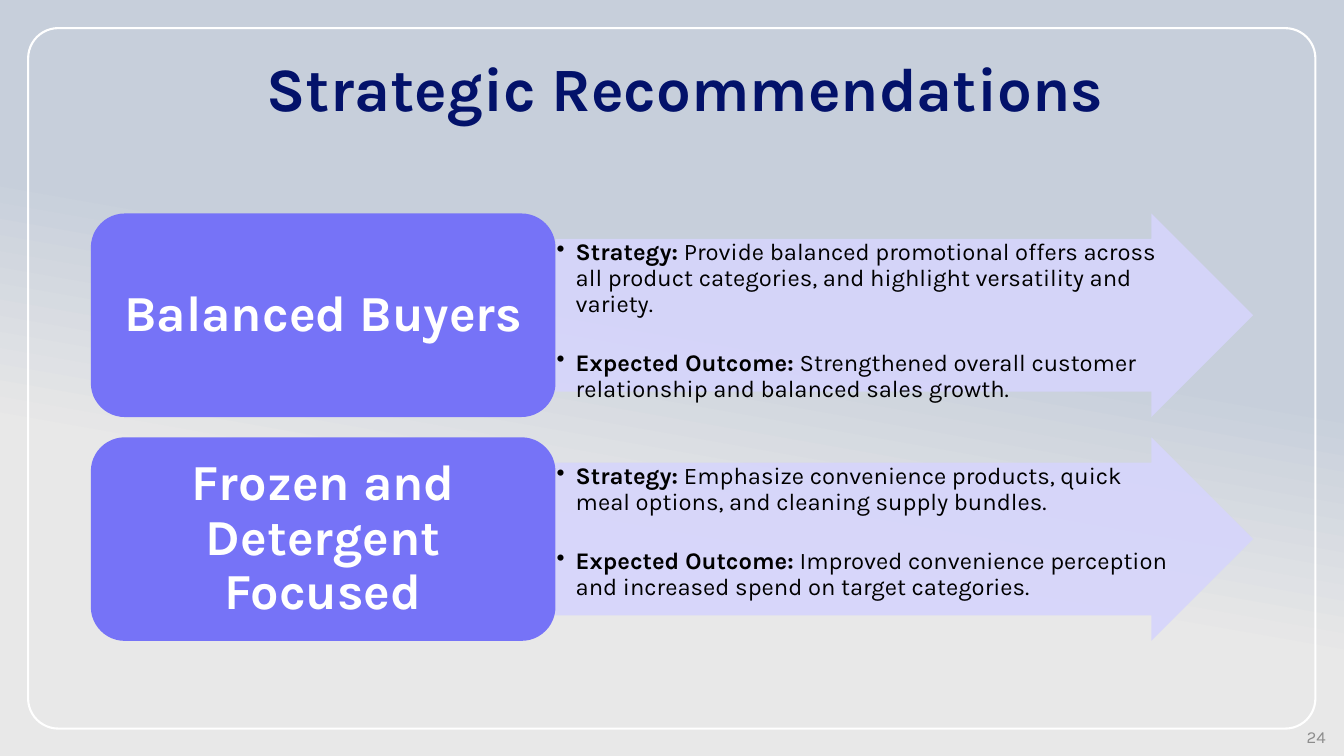
from lxml import etree
from pptx import Presentation
from pptx.dml.color import RGBColor
from pptx.enum.shapes import MSO_SHAPE
from pptx.enum.text import MSO_ANCHOR, PP_ALIGN
from pptx.oxml.ns import qn
from pptx.util import Cm, Pt

ROUNDED, ARROW = MSO_SHAPE.ROUNDED_RECTANGLE, MSO_SHAPE.RIGHT_ARROW
TOP, MIDDLE, BOTTOM = MSO_ANCHOR.TOP, MSO_ANCHOR.MIDDLE, MSO_ANCHOR.BOTTOM
LEFT, CENTER, RIGHT = PP_ALIGN.LEFT, PP_ALIGN.CENTER, PP_ALIGN.RIGHT

# Content
TITLE = "Strategic Recommendations"
PAGE_NUMBER = "24"
SEGMENTS = [
    ("Balanced Buyers", [
        ("Strategy:", " Provide balanced promotional offers across all product "
                      "categories, and highlight versatility and variety."),
        ("Expected Outcome:", " Strengthened overall customer relationship and "
                              "balanced sales growth."),
    ]),
    ("Frozen and Detergent Focused", [
        ("Strategy:", " Emphasize convenience products, quick meal options, "
                      "and cleaning supply bundles."),
        ("Expected Outcome:", " Improved convenience perception and increased "
                              "spend on target categories."),
    ]),
]

# Format and layout (cm)
BACKGROUND_STOPS = [(0.33, "E8E8E8"), (0.59, "C7CFDB")]
TITLE_FONT = {"size": Pt(44), "bold": True}
NUMBER_FONT = {"size": Pt(12), "bold": False}
LABEL_FONT = {"size": Pt(36), "bold": True}
HEADING_FONT = {"size": Pt(17), "bold": True}
DETAIL_FONT = {"size": Pt(17), "bold": False}
CARD_LEFT, CARD_WIDTH, ARROW_WIDTH = 2.29, 11.71, 17.58
ROW_TOP, ROW_HEIGHT, ROW_GAP = 5.38, 5.13, 0.51
BULLET_INDENT = 0.48


def color(hex_text):
    return RGBColor.from_string(hex_text)


def add_block(kind, box, fill=None):
    shape = slide.shapes.add_shape(kind, *map(Cm, box))
    shape.shadow.inherit = False
    shape.line.fill.background()
    if fill:
        shape.fill.solid()
        shape.fill.fore_color.rgb = color(fill)
    else:
        shape.fill.background()
    return shape


def set_frame(shape, anchor, side=0.25, edge=0.13):
    frame = shape.text_frame
    settings = {"word_wrap": True, "vertical_anchor": anchor,
                "margin_left": Cm(side), "margin_right": Cm(side),
                "margin_top": Cm(edge), "margin_bottom": Cm(edge)}
    for name, value in settings.items():
        setattr(frame, name, value)
    return frame


def add_run(paragraph, text, font_values, hex_text):
    run = paragraph.add_run()
    run.text = text
    for name, value in {"name": "Karla", **font_values}.items():
        setattr(run.font, name, value)
    run.font.color.rgb = color(hex_text)


def write_line(frame, text, font_values, hex_text, align, spacing=0.9):
    paragraph = frame.paragraphs[0]
    paragraph.alignment, paragraph.line_spacing = align, spacing
    add_run(paragraph, text, font_values, hex_text)


def write_bullets(frame, points):
    for index, (heading, detail) in enumerate(points):
        paragraph = frame.add_paragraph() if index else frame.paragraphs[0]
        paragraph.alignment, paragraph.line_spacing = LEFT, 0.9
        paragraph.space_before = Pt(24 if index else 0)
        properties = paragraph._p.get_or_add_pPr()
        properties.set("marL", str(Cm(BULLET_INDENT)))
        properties.set("indent", str(-Cm(BULLET_INDENT)))
        etree.SubElement(properties, qn("a:buChar"), char="•")
        add_run(paragraph, heading, HEADING_FONT, "000000")
        add_run(paragraph, detail, DETAIL_FONT, "000000")


presentation = Presentation()
presentation.slide_width, presentation.slide_height = Cm(33.87), Cm(19.05)
slide = presentation.slides.add_slide(presentation.slide_layouts[6])

# Background and white border
background = slide.background.fill
background.gradient()
background.gradient_angle = 80
for stop, (position, hex_text) in zip(background.gradient_stops, BACKGROUND_STOPS):
    stop.position = position
    stop.color.rgb = color(hex_text)
border = add_block(ROUNDED, (0.71, 0.71, 32.44, 17.65))
border.adjustments[0] = 0.043
border.line.color.rgb = color("FFFFFF")
border.line.width = Pt(1.5)

# Title and page number
title = slide.shapes.add_textbox(Cm(3), Cm(1.02), Cm(28.55), Cm(2.26))
write_line(set_frame(title, BOTTOM), TITLE, TITLE_FONT, "03126A", CENTER)
number = slide.shapes.add_textbox(Cm(26.04), Cm(18.24), Cm(7.62), Cm(0.64))
write_line(set_frame(number, MIDDLE), PAGE_NUMBER, NUMBER_FONT, "8C8C8C", RIGHT, 1.0)

# One row per segment: arrow with recommendations, card with name
for row, (segment, points) in enumerate(SEGMENTS):
    top = ROW_TOP + row * (ROW_HEIGHT + ROW_GAP)
    arrow = add_block(ARROW, (CARD_LEFT + CARD_WIDTH, top, ARROW_WIDTH, ROW_HEIGHT),
                      "D6D5FC")
    arrow.adjustments[0], arrow.adjustments[1] = 0.75, 0.5
    fill_color = arrow._element.spPr.find(qn("a:solidFill"))[0]
    etree.SubElement(fill_color, qn("a:alpha"), val="90000")
    write_bullets(set_frame(arrow, TOP, 0.03, 0.03), points)
    card = add_block(ROUNDED, (CARD_LEFT, top, CARD_WIDTH, ROW_HEIGHT), "7673F7")
    write_line(set_frame(card, MIDDLE, 0.38, 0.18), segment, LABEL_FONT, "FFFFFF", CENTER)

presentation.save("out.pptx")
